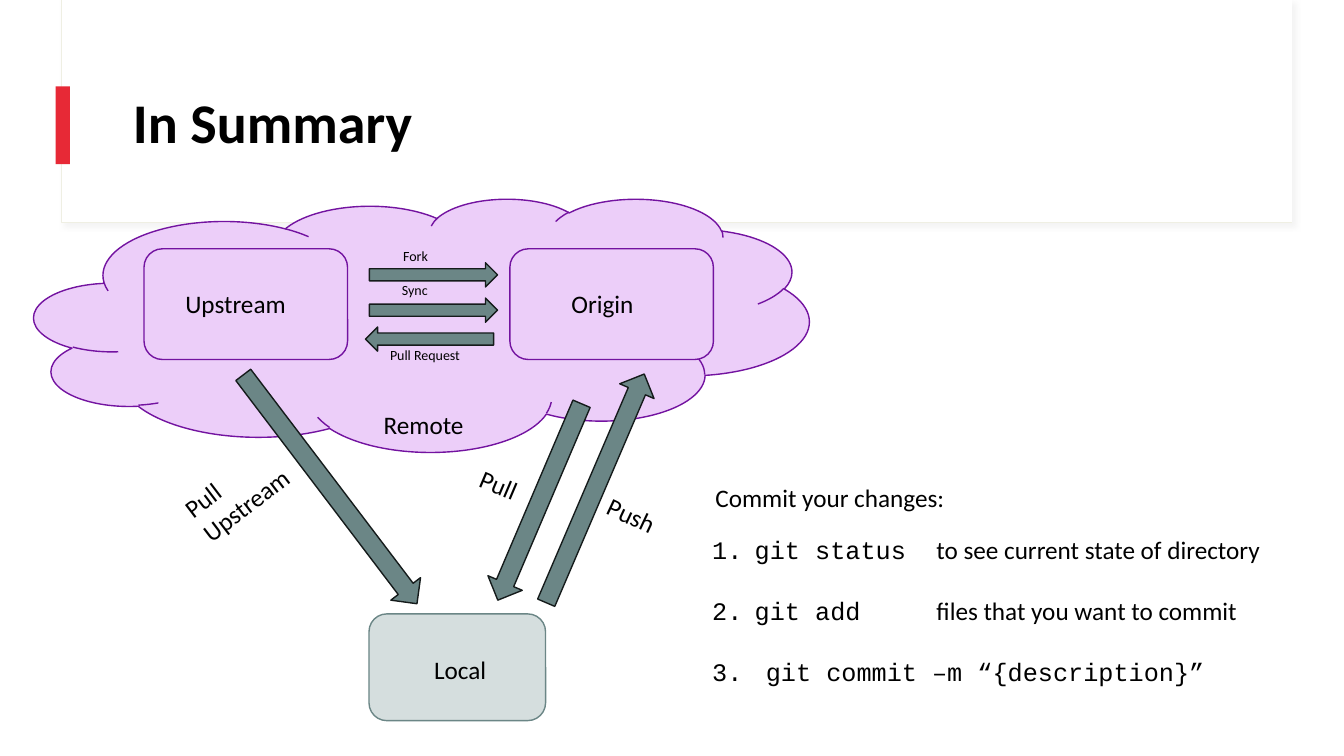
from lxml import etree
from pptx import Presentation
from pptx.dml.color import RGBColor
from pptx.enum.shapes import MSO_SHAPE
from pptx.enum.text import MSO_ANCHOR
from pptx.oxml import parse_xml
from pptx.oxml.ns import qn
from pptx.util import Cm, Pt

RECT = MSO_SHAPE.RECTANGLE
ROUND = MSO_SHAPE.ROUNDED_RECTANGLE
CLOUD = MSO_SHAPE.CLOUD
ARROW = MSO_SHAPE.DOWN_ARROW
MIDDLE = MSO_ANCHOR.MIDDLE
SANS = "Calibri"
MONO = "Courier New"
LILAC = "ECCEF9"
PURPLE = "7313A0"
TEAL = "6B8686"

deck = Presentation()
deck.slide_width = Cm(33.87)
deck.slide_height = Cm(19.05)
slide = deck.slides.add_slide(deck.slide_layouts[6])


def draw(kind, box, fill, line=None, width=1, turn=0):
    shape = slide.shapes.add_shape(kind, *map(Cm, box))
    shape.shadow.inherit = False
    shape.rotation = turn
    shape.fill.solid()
    shape.fill.fore_color.rgb = RGBColor.from_string(fill)
    if line:
        shape.line.color.rgb = RGBColor.from_string(line)
        shape.line.width = Pt(width)
    else:
        shape.line.fill.background()
    return shape


def write(lines, box, size=18, turn=0, wrap=True):
    label = slide.shapes.add_textbox(*map(Cm, box))
    label.rotation = turn
    frame = label.text_frame
    frame.word_wrap = wrap
    frame.text = lines
    for para in frame.paragraphs:
        for run in para.runs:
            run.font.size = Pt(size)
            run.font.name = SANS
            run.font.color.rgb = RGBColor.from_string("000000")
    return frame


panel = draw(RECT, (1.55, 0, 31.01, 5.61), "FFFFFF", "EFEFE3", 0.75)
effect = panel.element.spPr.find(qn("a:effectLst"))
effect.append(parse_xml(
    '<a:outerShdw xmlns:a="http://schemas.openxmlformats.org/drawingml/2006/main"'
    ' blurRad="50800" dist="38100" dir="2700000"><a:srgbClr val="D9D9D9">'
    '<a:alpha val="30000"/></a:srgbClr></a:outerShdw>'))
draw(RECT, (1.57, 0, 30.99, 5.59), "FFFFFF")
draw(RECT, (1.4, 2.18, 0.36, 1.96), "E72936")

title = write("In Summary", (3.1, 1.52, 28.24, 3.28), 40)
title.vertical_anchor = MIDDLE
title.paragraphs[0].line_spacing = 0.9
title.paragraphs[0].runs[0].font.bold = True

draw(CLOUD, (0.86, 5, 19.53, 6.38), LILAC, PURPLE)
for left in (3.63, 12.85):
    draw(ROUND, (left, 6.27, 5.13, 2.79), LILAC, PURPLE)
draw(ROUND, (9.3, 15.47, 4.45, 2.69), "D5DEDE", TEAL)

arrows = [
    (7.85, 8.71, 0.94, 7.24, 322.8),
    (13.13, 9.96, 0.94, 5.38, 23.1),
    (14.53, 9.17, 0.94, 6.27, 203.2),
    (10.62, 5.31, 0.61, 3.23, 270),
    (10.62, 6.2, 0.61, 3.23, 270),
    (10.52, 6.93, 0.61, 3.23, 90),
]
for *box, turn in arrows:
    draw(ARROW, box, TEAL, "151B1B", turn=turn)

labels = [
    ("Upstream", 4.42, 7.14, 3.56, 1.02, 18, 0),
    ("Origin", 14.15, 7.14, 2.54, 1.02, 18, 0),
    ("Remote", 9.42, 10.19, 3.07, 1.02, 18, 0),
    ("Local", 10.69, 16.36, 2.64, 1.02, 18, 0),
    ("Pull Upstream", 4.39, 11.35, 3.61, 1.8, 18, 322.7),
    ("Pull", 11.84, 11.73, 1.57, 1.02, 18, 23.1),
    ("Push", 15.01, 12.62, 2.44, 1.02, 18, 25.3),
    ("Fork", 9.91, 6.1, 1.5, 0.69, 10, 0),
    ("Sync", 9.88, 6.96, 1.5, 0.69, 10, 0),
    ("Pull Request", 9.58, 8.61, 2.72, 0.69, 10, 0),
]
for text, *box, size, turn in labels:
    write(text, box, size, turn)

write("Commit your changes:", (17.78, 12.04, 7.14, 1.02), wrap=False)

steps = [
    ("git status", "\tto see current state of directory", SANS, 1.07),
    ("git add", "\tfiles that you want to commit", SANS, 1.07),
    ("git commit –m “{description}”", "", MONO, 1.35),
]
frame = write("\n".join(step[0] for step in steps), (17.7, 13.34, 15.54, 4.11))
for para, (code, note, font, indent) in zip(frame.paragraphs, steps):
    para.runs[0].font.name = MONO
    if note:
        run = para.add_run()
        run.text = note
        run.font.size = Pt(18)
        run.font.name = SANS
        run.font.color.rgb = RGBColor.from_string("000000")
    if code != steps[0][0]:
        para.space_before = Pt(22)
    props = para._p.get_or_add_pPr()
    props.set("marL", str(Cm(indent)))
    props.set("indent", str(-Cm(indent)))
    etree.SubElement(props, qn("a:buFont"), typeface=font)
    etree.SubElement(props, qn("a:buAutoNum"), type="arabicPeriod")
    tabs = etree.SubElement(props, qn("a:tabLst"))
    etree.SubElement(tabs, qn("a:tab"), pos=str(Cm(5.65)), algn="l")

deck.save("out.pptx")
